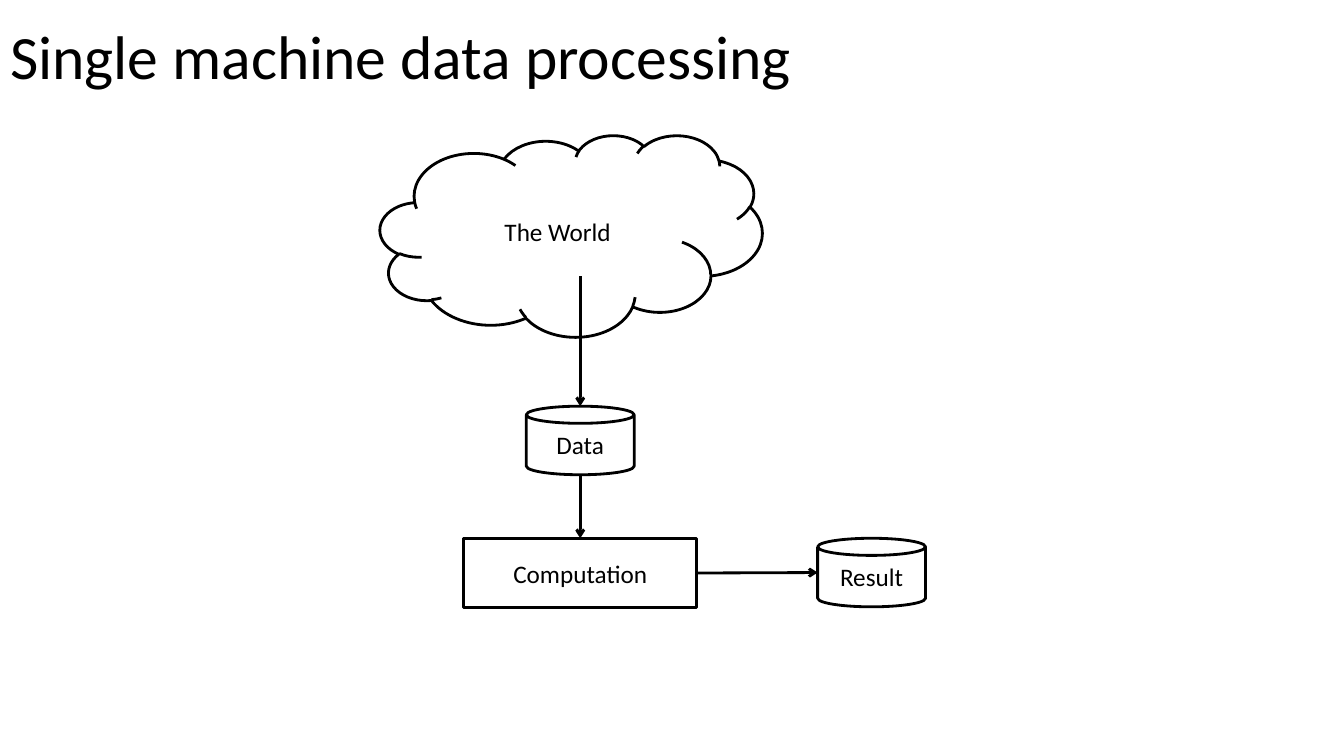
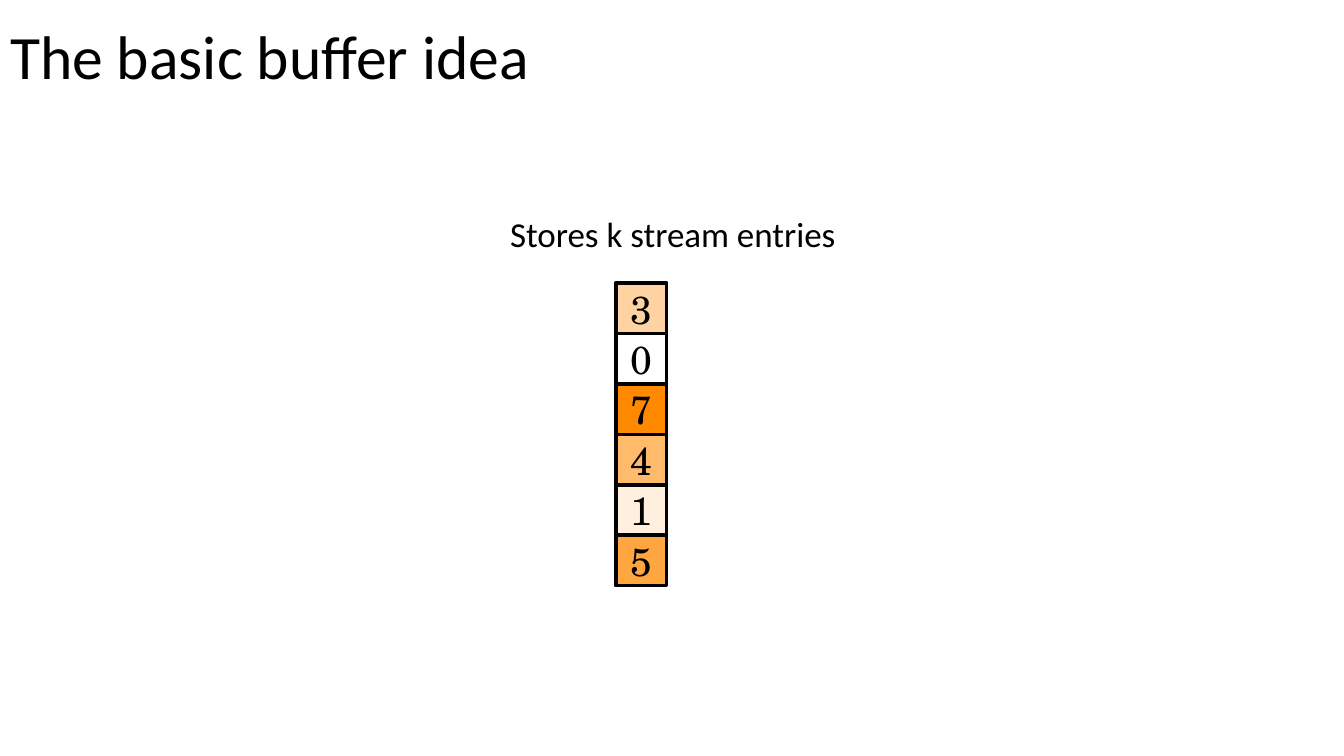
from lxml.etree import SubElement
from pptx import Presentation
from pptx.dml.color import RGBColor
from pptx.enum.shapes import MSO_CONNECTOR, MSO_SHAPE
from pptx.enum.text import MSO_ANCHOR, MSO_AUTO_SIZE, PP_ALIGN
from pptx.oxml.ns import qn
from pptx.util import Inches, Pt

COLORS = {"ink": "000000", "paper": "FFFFFF", "entry": "FF8900"}
BODY_FONT, DIGIT_FONT = "Calibri", "TeX Gyre Schola"

# Content: the processing diagram, boxes as (left, top, width, height)
FLOW_TITLE = "Single machine data processing"
FLOW_NODES = {
    "Data": (MSO_SHAPE.CAN, (5.22, 4.03, 1.07, 0.68), "paper"),
    "Computation": (MSO_SHAPE.RECTANGLE, (4.6, 5.34, 2.31, 0.69), None),
    "Result": (MSO_SHAPE.CAN, (8.11, 5.34, 1.07, 0.68), "paper"),
    "The World": (MSO_SHAPE.CLOUD, (3.77, 1.34, 3.79, 2), None),
}
WORLD_EXIT = 2.74  # height at which the arrow leaves the cloud

# Content: the buffer, entries as (value, fill opacity in percent)
BUFFER_TITLE = "The basic buffer idea"
BUFFER_CAPTION = "Stores k stream entries"
BUFFER_ENTRIES = [(3, 37), (0, 0), (7, 100), (4, 58), (1, 13), (5, 75)]
BUFFER_LEFT, BUFFER_TOP, CELL = 6.11, 2.81, 0.5


def rgb(name):
    return RGBColor.from_string(COLORS[name])


def write(shape, text, size=18, font=BODY_FONT, align=PP_ALIGN.CENTER,
          anchor=MSO_ANCHOR.MIDDLE, spacing=None):
    frame = shape.text_frame
    frame.word_wrap = True
    frame.vertical_anchor = anchor
    paragraph = frame.paragraphs[0]
    paragraph.alignment = align
    paragraph.line_spacing = spacing
    run = paragraph.add_run()
    run.text = text
    run.font.name, run.font.size = font, Pt(size)
    run.font.color.rgb = rgb("ink")


def titled_slide(deck, title):
    slide = deck.slides.add_slide(deck.slide_layouts[5])
    heading = slide.shapes.title
    heading.left, heading.top = Inches(0), Inches(0)
    heading.width, heading.height = Inches(9.32), Inches(1.18)
    write(heading, title, size=44, align=PP_ALIGN.LEFT, spacing=0.9)
    return slide


def outlined(slide, preset, box, fill=None, opacity=100, weight=2):
    shape = slide.shapes.add_shape(preset, *map(Inches, box))
    shape.shadow.inherit = False
    shape.line.color.rgb = rgb("ink")
    shape.line.width = Pt(weight)
    if fill and opacity:
        shape.fill.solid()
        shape.fill.fore_color.rgb = rgb(fill)
        if opacity < 100:
            color = shape.fill._xPr.find(qn("a:solidFill"))[0]
            SubElement(color, qn("a:alpha"), val=str(opacity * 1000))
    else:
        shape.fill.background()
    return shape


def arrow(slide, start, end):
    link = slide.shapes.add_connector(MSO_CONNECTOR.STRAIGHT, *start, *end)
    link.line.color.rgb = rgb("ink")
    link.line.width = Pt(2)
    SubElement(link.line._get_or_add_ln(), qn("a:tailEnd"), type="arrow")
    SubElement(link._element.spPr, qn("a:effectLst"))
    return link


def build_flow(deck):
    slide = titled_slide(deck, FLOW_TITLE)
    nodes = {}
    for label, (preset, box, fill) in FLOW_NODES.items():
        nodes[label] = outlined(slide, preset, box, fill)
        write(nodes[label], label)

    data, computation, result = (nodes[n] for n in ("Data", "Computation", "Result"))
    axis = data.left + data.width // 2
    row = result.top + result.height // 2
    arrow(slide, (axis, Inches(WORLD_EXIT)), (axis, data.top))
    to_computation = arrow(slide, (axis, data.top + data.height),
                           (axis, computation.top))
    to_computation.end_connect(computation, 0)
    to_result = arrow(slide, (computation.left + computation.width, row),
                      (result.left, row))
    to_result.begin_connect(computation, 3)


def build_buffer(deck):
    slide = titled_slide(deck, BUFFER_TITLE)
    # Frame around the whole buffer
    outlined(slide, MSO_SHAPE.RECTANGLE,
             (BUFFER_LEFT, BUFFER_TOP, CELL, CELL * len(BUFFER_ENTRIES)), weight=2.5)

    caption = slide.shapes.add_textbox(*map(Inches, (4.96, 2.06, 5.01, 0.52)))
    write(caption, BUFFER_CAPTION, size=25, align=PP_ALIGN.LEFT, anchor=MSO_ANCHOR.TOP)
    caption.text_frame.auto_size = MSO_AUTO_SIZE.SHAPE_TO_FIT_TEXT

    for index, (value, opacity) in enumerate(BUFFER_ENTRIES):
        box = (BUFFER_LEFT, BUFFER_TOP + index * CELL, CELL, CELL)
        cell = outlined(slide, MSO_SHAPE.RECTANGLE, box, "entry", opacity, weight=2.5)
        write(cell, str(value), size=28, font=DIGIT_FONT)


def main():
    deck = Presentation()
    deck.slide_width, deck.slide_height = Inches(13.33), Inches(7.5)
    build_flow(deck)
    build_buffer(deck)
    deck.save("out.pptx")


if __name__ == "__main__":
    main()
